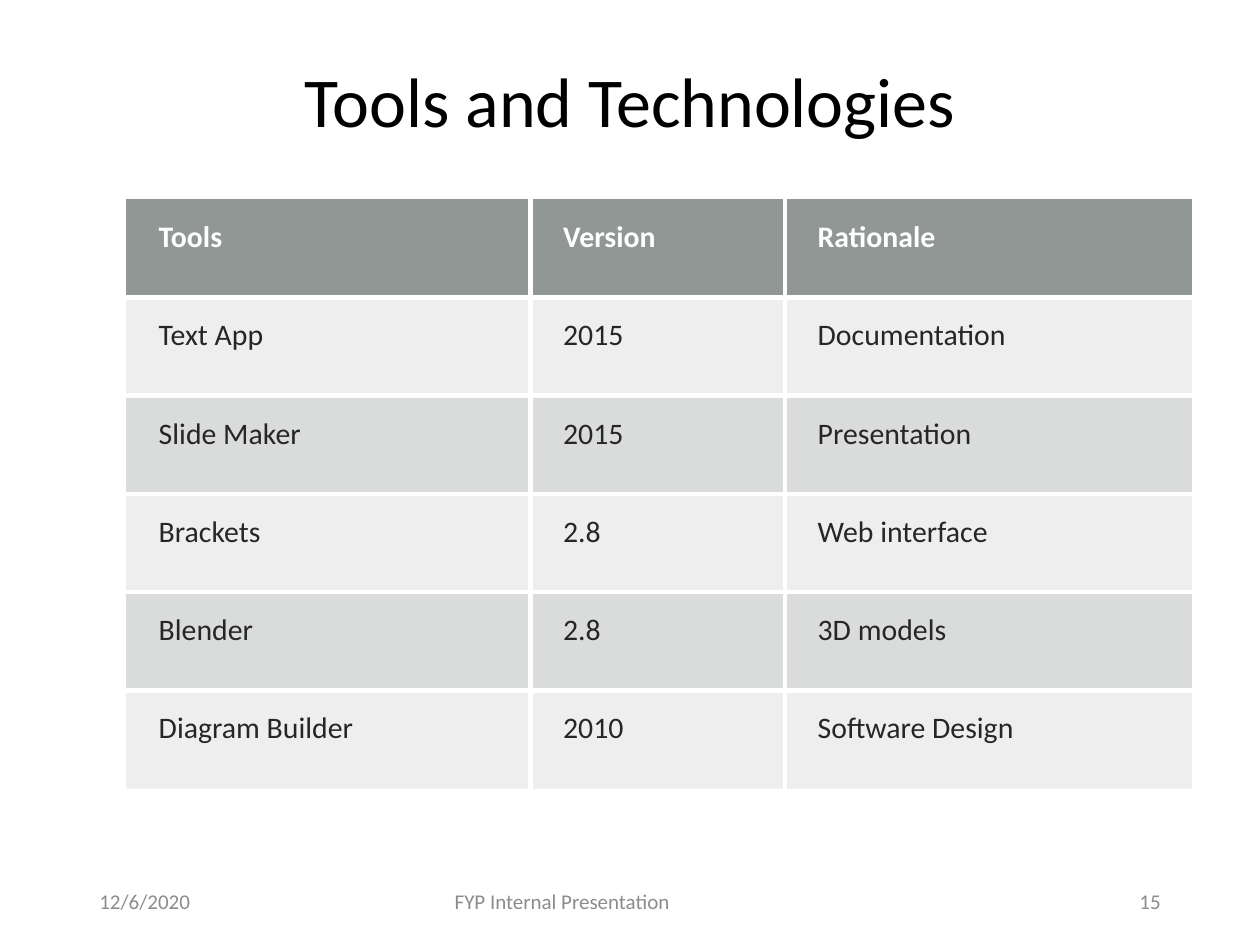
from lxml.etree import SubElement
from pptx import Presentation
from pptx.dml.color import RGBColor
from pptx.enum.text import MSO_ANCHOR as Anchor, PP_ALIGN as Align
from pptx.oxml.ns import qn
from pptx.util import Inches, Pt

FONT = "Calibri"
WHITE, BLACK, DARK, GREY = "FFFFFF", "000000", "262626", "8C8C8C"
HEADER_FILL, BODY_FILL = "636B68", "878E8B"
COLUMN_WIDTHS = (3.21, 2.02, 3.23)
ROW_HEIGHT = 0.78
ROWS = (
    ("Tools", "Version", "Rationale"),
    ("Text App", "2015", "Documentation"),
    ("Slide Maker", "2015", "Presentation"),
    ("Brackets", "2.8", "Web interface"),
    ("Blender", "2.8", "3D models"),
    ("Diagram Builder", "2010", "Software Design"),
)
FOOTERS = (
    ("12/6/2020", 0.69, 2.27, Align.LEFT),
    ("FYP Internal Presentation", 3.51, 3.38, Align.LEFT),
    ("15", 7.06, 2.25, Align.RIGHT),
)


def color(value):
    return RGBColor.from_string(value)


def write(frame, text, size, ink, bold=False, align=Align.LEFT, after=0):
    paragraph = frame.paragraphs[0]
    paragraph.alignment = align
    paragraph.space_after = Pt(after)
    run = paragraph.add_run()
    run.text = text
    run.font.name = FONT
    run.font.size = Pt(size)
    run.font.bold = bold
    run.font.color.rgb = color(ink)


def add_title(slide, text):
    title = slide.shapes.title
    title.left, title.top, title.width, title.height = map(Inches, (0.69, 0.15, 8.62, 1.02))
    title.text_frame.vertical_anchor = Anchor.BOTTOM
    write(title.text_frame, text, 40, BLACK, align=Align.CENTER)


def add_footer(slide, text, left, width, align):
    box = slide.shapes.add_textbox(*map(Inches, (left, 6.95, width, 0.4)))
    box.text_frame.word_wrap = True
    box.text_frame.vertical_anchor = Anchor.MIDDLE
    write(box.text_frame, text, 12, GREY, align=align, after=6)


def set_borders(cell, inner_sides):
    properties = cell._tc.get_or_add_tcPr()
    for side in "LRTB":
        inner = side in inner_sides
        line = SubElement(properties, qn(f"a:ln{side}"), w=str(Pt(3) if inner else 0))
        if inner:
            fill = SubElement(line, qn("a:solidFill"))
            SubElement(fill, qn("a:srgbClr"), val=WHITE)
        else:
            SubElement(line, qn("a:noFill"))


def fill_cell(cell, value, opacity):
    cell.fill.solid()
    cell.fill.fore_color.rgb = color(value)
    tint = cell._tc.tcPr.find(qn("a:solidFill")).find(qn("a:srgbClr"))
    SubElement(tint, qn("a:alpha"), val=str(opacity * 1000))


def add_tools_table(slide):
    last_row, last_column = len(ROWS) - 1, len(COLUMN_WIDTHS) - 1
    size = (sum(COLUMN_WIDTHS), ROW_HEIGHT * len(ROWS))
    table = slide.shapes.add_table(
        len(ROWS), len(COLUMN_WIDTHS), *map(Inches, (1, 1.58, *size))
    ).table
    for column, width in zip(table.columns, COLUMN_WIDTHS):
        column.width = Inches(width)
    for r, texts in enumerate(ROWS):
        table.rows[r].height = Inches(ROW_HEIGHT)
        header = r == 0
        opacity = 70 if header else 15 if r % 2 else 30
        for c, text in enumerate(texts):
            cell = table.cell(r, c)
            cell.margin_left = Inches(0.26)
            cell.margin_top = cell.margin_right = cell.margin_bottom = Inches(0.16)
            inner = {"L": c > 0, "R": c < last_column, "T": r > 0, "B": r < last_row}
            set_borders(cell, [side for side, shown in inner.items() if shown])
            fill_cell(cell, HEADER_FILL if header else BODY_FILL, opacity)
            write(cell.text_frame, text, 17, WHITE if header else DARK, bold=header)


def main():
    presentation = Presentation()
    presentation.slide_width, presentation.slide_height = Inches(10), Inches(7.5)
    slide = presentation.slides.add_slide(presentation.slide_layouts[5])
    add_title(slide, "Tools and Technologies")
    for footer in FOOTERS:
        add_footer(slide, *footer)
    add_tools_table(slide)
    presentation.save("out.pptx")


if __name__ == "__main__":
    main()
